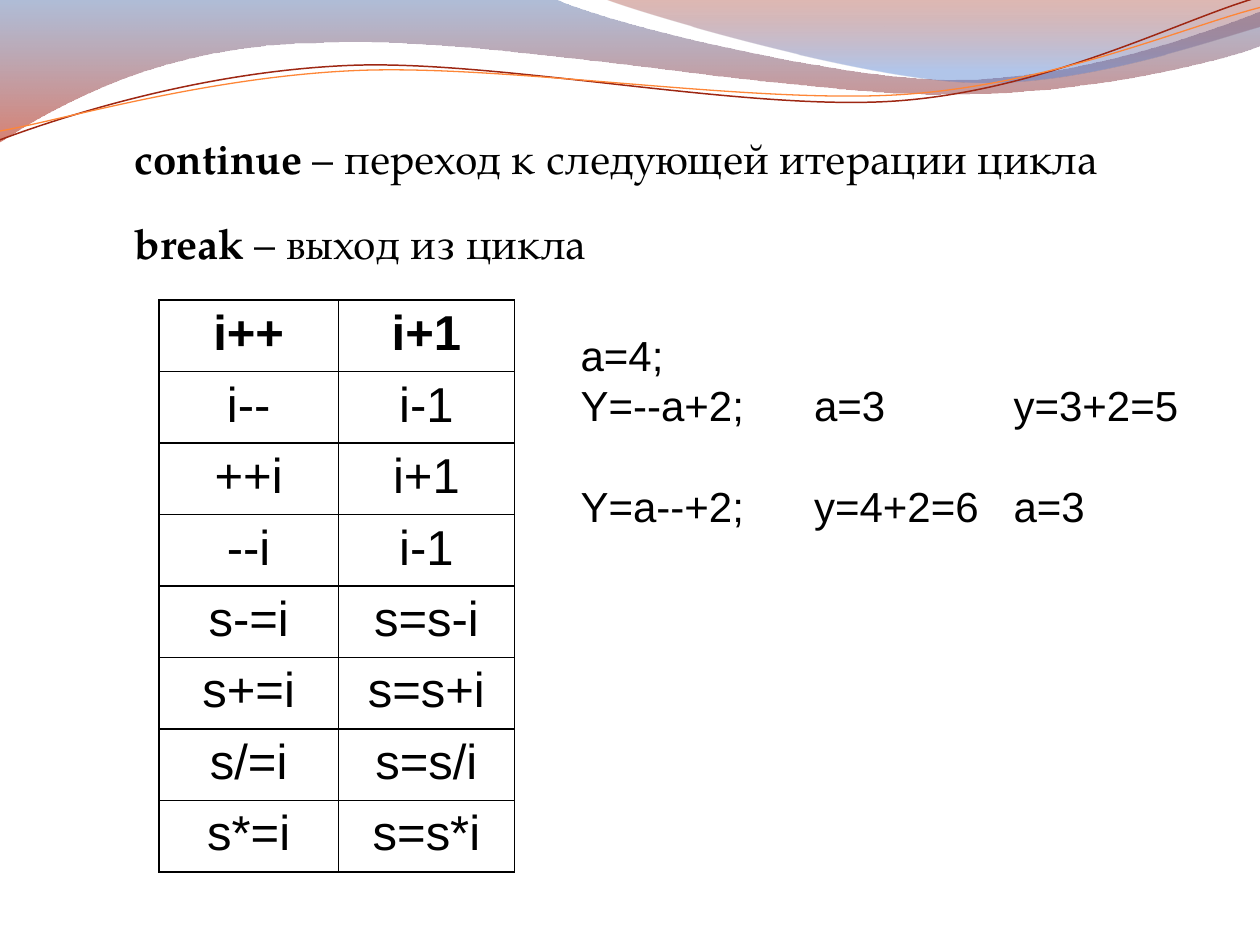
from dataclasses import dataclass
from math import cos, radians, sin
from typing import Optional

from lxml.etree import SubElement
from pptx import Presentation
from pptx.dml.color import RGBColor
from pptx.enum.text import MSO_AUTO_SIZE as AutoSize, PP_ALIGN as Align
from pptx.oxml.ns import qn
from pptx.util import Pt

SERIF, SANS = "TeX Gyre Pagella", "Arial"
BLACK = "000000"
LINE_TILT = -2.7  # degrees


@dataclass
class Stop:
    position: float
    color: str
    alpha: int  # percent


@dataclass
class Wave:
    start: tuple
    segments: list  # one point is a line, three points are a Bezier curve
    stops: Optional[tuple] = None  # filled wave
    line: Optional[tuple] = None  # open wave: colour, width
    pivot: tuple = (0, 0)  # centre of the tilt of an open wave


@dataclass
class Definition:
    top: float
    width: float
    term: str
    meaning: str


WAVES = [
    Wave((0, -0.7), [
        [(316.8, -0.7)],
        [(342.7, 12.2), (478.1, 45.4), (545.8, 45.4)],
        [(614.2, 45.4), (689.8, 18.7), (720, 6.5)],
        [(720.7, 25.9)],
        [(707.8, 31.7), (626.4, 54.7), (537.1, 54)],
        [(447.8, 54), (275, 20.2), (185, 24.5)],
        [(92.9, 25.2), (33.1, 59.8), (-0.7, 81.4)],
    ], stops=(Stop(0, "4F6EA8", 45), Stop(1, "B61A00", 55))),
    Wave((344.9, -0.7), [
        [(366.5, 7.9), (491, 44.6), (553.7, 46.8)],
        [(616.3, 49.7), (691.9, 23), (720, 15.1)],
        [(720, 0)],
    ], stops=(Stop(0, "951500", 30), Stop(0.8, "5681D1", 45))),
    Wave((0, 79.9), [
        [(34.6, 67), (113.8, 41), (199.4, 37.4)],
        [(284.4, 33.8), (427, 64.1), (513.4, 57.6)],
        [(599.8, 51.1), (675.4, 10.8), (718.6, -1.4)],
    ], line=("9E2713", 0.85), pivot=(359.3, 41.4)),
    Wave((0, 74.9), [
        [(33.8, 69.1), (118.1, 43.9), (203.8, 40.3)],
        [(290.2, 36.7), (429.8, 59.8), (516.2, 54)],
        [(601.9, 48.2), (677.5, 15.1), (720, 4.3)],
    ], line=("FE8637", 0.75), pivot=(359.6, 42.5)),
]

DEFINITIONS = [
    Definition(72, 628.6, "continue ", "– переход к следующей итерации цикла"),
    Definition(121, 452.9, "break", " – выход из цикла"),
]

OPERATORS = [
    ("i++", "i+1"), ("i--", "i-1"), ("++i", "i+1"), ("--i", "i-1"),
    ("s-=i", "s=s-i"), ("s+=i", "s=s+i"), ("s/=i", "s=s/i"), ("s*=i", "s=s*i"),
]

EXAMPLE = ["a=4;", "Y=--a+2;\ta=3\ty=3+2=5", "Y=a--+2;\ty=4+2=6\ta=3"]


def rgb(value: str) -> RGBColor:
    return RGBColor.from_string(value)


def style(r, font: str, size: float, bold: bool = False) -> None:
    r.font.name, r.font.size, r.font.bold = font, Pt(size), bold
    r.font.color.rgb = rgb(BLACK)


def turn(point: tuple, pivot: tuple, degrees: float) -> tuple:
    dx, dy = point[0] - pivot[0], point[1] - pivot[1]
    c, s = cos(radians(degrees)), sin(radians(degrees))
    return pivot[0] + dx * c - dy * s, pivot[1] + dx * s + dy * c


def curve_segments(sp, segments: list) -> None:
    """Join the three lines of each curve segment into one Bezier curve."""
    lines = iter(list(sp._element.iter(qn("a:lnTo"))))
    for segment in segments:
        parts = [next(lines) for _ in segment]
        if len(parts) == 3:
            curve = parts[0].makeelement(qn("a:cubicBezTo"), {})
            parts[0].addprevious(curve)
            for part in parts:
                curve.append(part[0])
                part.getparent().remove(part)


def add_wave(slide, wave: Wave) -> None:
    tilt = LINE_TILT if wave.line else 0
    points = [wave.start] + [pt for segment in wave.segments for pt in segment]
    start, *rest = [tuple(Pt(v) for v in turn(pt, wave.pivot, -tilt)) for pt in points]
    builder = slide.shapes.build_freeform(*start)
    builder.add_line_segments(rest, close=wave.stops is not None)
    sp = builder.convert_to_shape()
    curve_segments(sp, wave.segments)
    sp.rotation = tilt
    sp.shadow.inherit = False
    if wave.line:
        sp.fill.background()
        color, width = wave.line
        sp.line.color.rgb = rgb(color)
        sp.line.width = Pt(width)
        return
    sp.line.fill.background()
    sp.fill.gradient()
    sp.fill.gradient_angle = 270
    for target, stop in zip(sp.fill.gradient_stops, wave.stops):
        target.position = stop.position
        target.color.rgb = rgb(stop.color)
    for clr, stop in zip(sp._element.iter(qn("a:srgbClr")), wave.stops):
        SubElement(clr, qn("a:alpha"), val=str(stop.alpha * 1000))


def add_text_frame(slide, left: float, top: float, width: float, height: float):
    tf = slide.shapes.add_textbox(Pt(left), Pt(top), Pt(width), Pt(height)).text_frame
    tf.word_wrap = True
    tf.auto_size = AutoSize.SHAPE_TO_FIT_TEXT
    return tf


def add_definition(slide, item: Definition) -> None:
    p = add_text_frame(slide, 69.8, item.top, item.width, 36.7).paragraphs[0]
    for text, bold in ((item.term, True), (item.meaning, False)):
        r = p.add_run()
        r.text = text
        style(r, SERIF, 24, bold)


def add_borders(cell) -> None:
    tc_pr = cell._tc.get_or_add_tcPr()
    for index, side in enumerate(("lnL", "lnR", "lnT", "lnB")):
        ln = tc_pr.makeelement(qn(f"a:{side}"), {"w": str(Pt(1))})
        SubElement(SubElement(ln, qn("a:solidFill")), qn("a:srgbClr"), val=BLACK)
        tc_pr.insert(index, ln)


def add_operator_table(slide) -> None:
    row_height, widths = 40.8, (102.6, 100.6)
    table = slide.shapes.add_table(
        len(OPERATORS), len(widths), Pt(90.8), Pt(171.4),
        Pt(sum(widths)), Pt(row_height * len(OPERATORS))).table
    for column, width in zip(table.columns, widths):
        column.width = Pt(width)
    for i, (row, texts) in enumerate(zip(table.rows, OPERATORS)):
        row.height = Pt(row_height)
        for cell, text in zip(row.cells, texts):
            cell.fill.background()
            add_borders(cell)
            p = cell.text_frame.paragraphs[0]
            p.text = text
            p.alignment = Align.CENTER
            style(p.runs[0], SANS, 28, bold=i == 0)


def add_example(slide) -> None:
    line_height, tab_stops = 28.8, (133.4, 247.4)
    tf = add_text_frame(slide, 324.7, 184.6, 377.3, 122.4)
    tf.text = "\n".join(EXAMPLE)
    for p in tf.paragraphs:
        p.line_spacing = Pt(line_height)
        style(p.runs[0], SANS, 24)
    tf.paragraphs[-1].space_before = Pt(line_height)
    for p in tf.paragraphs[1:]:
        tabs = SubElement(p._p.get_or_add_pPr(), qn("a:tabLst"))
        for stop in tab_stops:
            SubElement(tabs, qn("a:tab"), pos=str(Pt(stop)), algn="l")


def main() -> None:
    prs = Presentation()
    prs.slide_width, prs.slide_height = Pt(720), Pt(540)
    slide = prs.slides.add_slide(prs.slide_layouts[6])

    # Decorative waves along the top
    for wave in WAVES:
        add_wave(slide, wave)
    # Loop keywords
    for item in DEFINITIONS:
        add_definition(slide, item)
    # Operators and worked example
    add_operator_table(slide)
    add_example(slide)

    prs.save("out.pptx")


if __name__ == "__main__":
    main()
